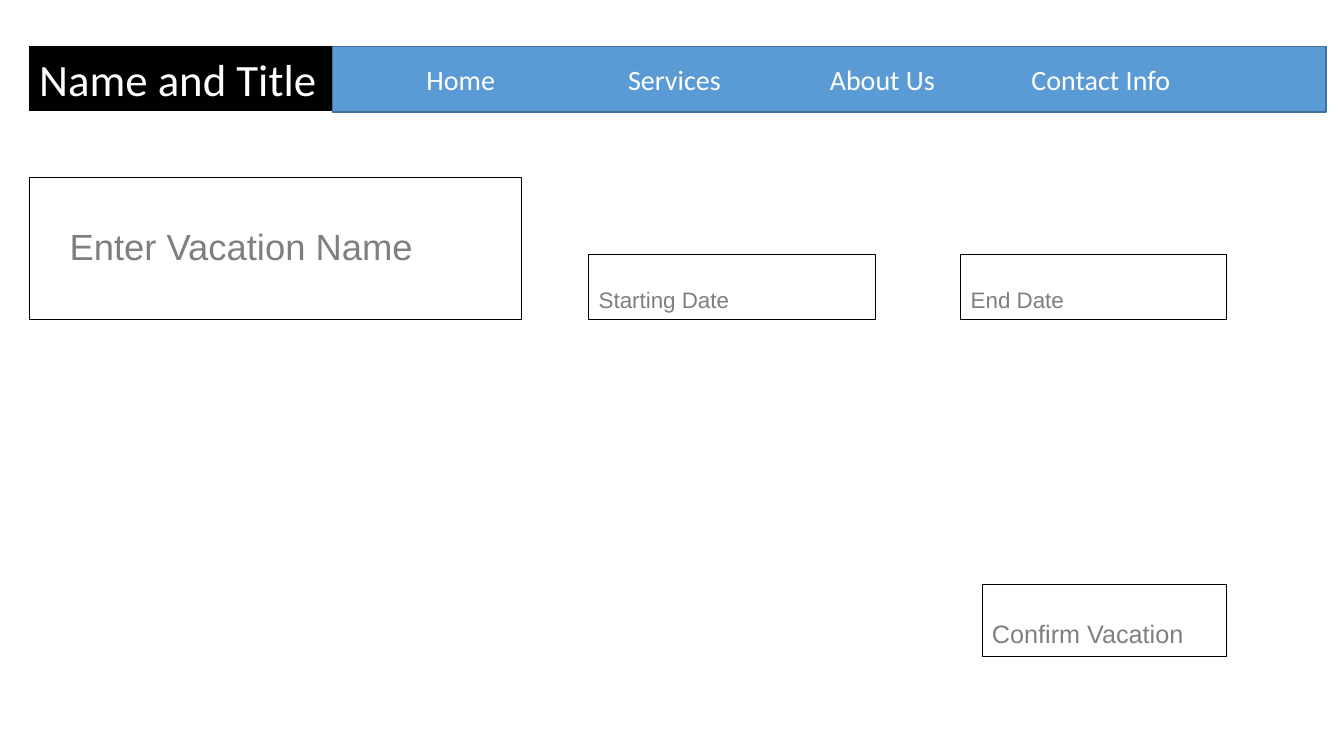
from dataclasses import dataclass

import pptx
import pptx.dml.color
import pptx.enum.shapes
import pptx.enum.text
import pptx.oxml
import pptx.oxml.ns
import pptx.util
from pptx.util import Inches

BLACK, WHITE, GRAY = "000000", "FFFFFF", "7F7F7F"
BLUE, DARK_BLUE = "5B9BD5", "42719B"
LEFT_EDGE, HEADER_TOP, DATE_TOP = 0.29, 0.46, 2.53
INSET = 0.1
LINE_SPACING = 1.15


@dataclass
class Box:
    text: str
    left: float
    top: float
    width: float
    height: float
    size: int
    font: str = "Arial"
    color: str = GRAY
    fill: str | None = None
    line: str = BLACK
    line_width: float = 0.75
    left_inset: float = INSET
    top_inset: float = 0.05
    middle: bool = False


def rgb(color: str) -> pptx.dml.color.RGBColor:
    return pptx.dml.color.RGBColor.from_string(color)


def add_box(slide: pptx.slide.Slide, box: Box) -> pptx.shapes.autoshape.Shape:
    shape = slide.shapes.add_shape(
        pptx.enum.shapes.MSO_SHAPE.RECTANGLE,
        Inches(box.left), Inches(box.top), Inches(box.width), Inches(box.height),
    )
    shape.shadow.inherit = False
    if box.fill:
        shape.fill.solid()
        shape.fill.fore_color.rgb = rgb(box.fill)
    else:
        shape.fill.background()
    shape.line.color.rgb = rgb(box.line)
    shape.line.width = pptx.util.Pt(box.line_width)

    frame = shape.text_frame
    frame.word_wrap = True
    anchors = pptx.enum.text.MSO_ANCHOR
    frame.vertical_anchor = anchors.MIDDLE if box.middle else anchors.TOP
    frame.margin_left, frame.margin_right = Inches(box.left_inset), Inches(INSET)
    frame.margin_top, frame.margin_bottom = Inches(box.top_inset), Inches(0.05)
    paragraph = frame.paragraphs[0]
    paragraph.text = box.text
    paragraph.alignment = pptx.enum.text.PP_ALIGN.LEFT
    paragraph.font.size = pptx.util.Pt(box.size)
    paragraph.font.name = box.font
    paragraph.font.color.rgb = rgb(box.color)
    return shape


def add_field(slide: pptx.slide.Slide, box: Box) -> None:
    """Draw an input field whose prompt sits one line below the top."""
    box.top_inset += box.size * LINE_SPACING / 72
    add_box(slide, box)


def set_tab_stops(paragraph: pptx.text.text._Paragraph, step: float, count: int) -> None:
    properties = paragraph._p.get_or_add_pPr()
    tab_list = pptx.oxml.parse_xml(f"<a:tabLst {pptx.oxml.ns.nsdecls('a')}/>")
    for number in range(1, count + 1):
        tab = tab_list.makeelement(pptx.oxml.ns.qn("a:tab"))
        tab.set("pos", str(Inches(step * number)))
        tab.set("algn", "l")
        tab_list.append(tab)
    # Tab stops come before the default run properties
    properties.insert(0, tab_list)


presentation = pptx.Presentation()
presentation.slide_width, presentation.slide_height = Inches(13.33), Inches(7.5)
slide = presentation.slides.add_slide(presentation.slide_layouts[6])

# Header: title and navigation bar
add_box(slide, Box("Name and Title", LEFT_EDGE, HEADER_TOP, 3.01, 0.64, 32,
                   "Calibri", WHITE, BLACK, BLACK, 1))
menu = ["Home", "Services", "About Us", "Contact Info"]
navigation = add_box(slide, Box("\t".join(menu), 3.3, HEADER_TOP, 9.85, 0.65, 20,
                                "Calibri", WHITE, BLUE, DARK_BLUE, 1,
                                left_inset=0.93, middle=True))
set_tab_stops(navigation.text_frame.paragraphs[0], 2, len(menu) - 1)

# Input fields and confirm button
fields = [
    Box("Enter Vacation Name", LEFT_EDGE, 1.76, 4.88, 1.41, 26, left_inset=0.4),
    Box("Starting Date", 5.84, DATE_TOP, 2.84, 0.64, 16),
    Box("End Date", 9.53, DATE_TOP, 2.64, 0.64, 16),
    Box("Confirm Vacation", 9.74, 5.8, 2.43, 0.71, 18),
]
for field in fields:
    add_field(slide, field)

presentation.save("out.pptx")
